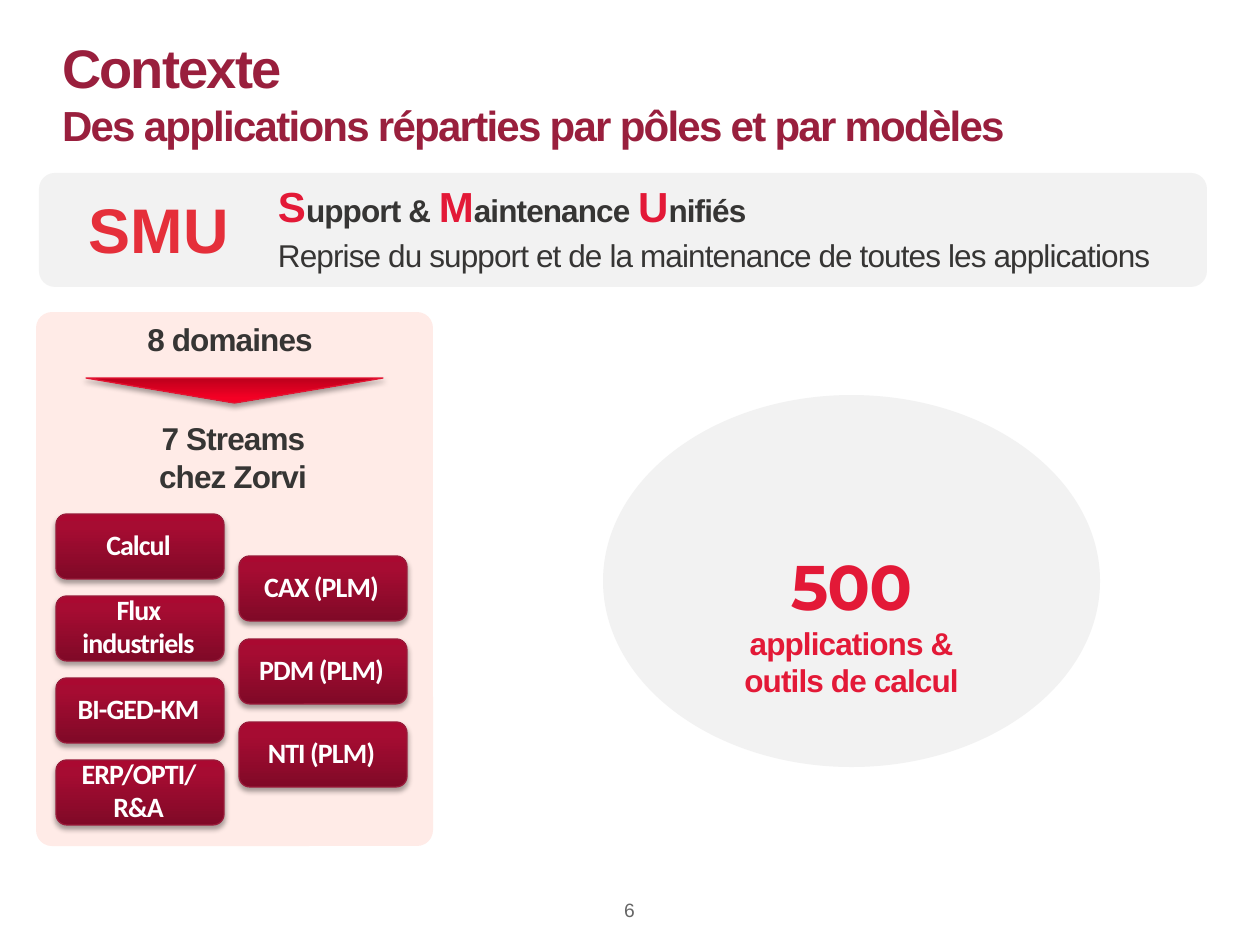
import copy

import pptx
import pptx.dml.color
import pptx.enum.shapes
import pptx.enum.text
import pptx.oxml
import pptx.oxml.ns
import pptx.util

SCALE = 914400 / 126
COLORS = {
    "title": "991F3D", "ink": "363534", "red": "E31937", "acronym": "E52F3A",
    "panel": "F2F2F2", "blush": "FFEBE7", "white": "FFFFFF", "number": "666666",
    "button_line": "991B3A", "arrow_line": "E31432",
}
BUTTON_STOPS = [(0, "800927"), (0.8, "A60C32"), (1, "AA0931")]
ARROW_STOPS = [(0, "BC001C"), (0.8, "F40024"), (1, "F50024")]
SHAPES = pptx.enum.shapes.MSO_SHAPE
CENTER = pptx.enum.text.PP_ALIGN.CENTER
LEFT = pptx.enum.text.PP_ALIGN.LEFT
MIDDLE = pptx.enum.text.MSO_ANCHOR.MIDDLE


def px(length):
    return pptx.util.Emu(round(length * SCALE))


def rgb(value):
    return pptx.dml.color.RGBColor.from_string(value)


def write(para, text, size=18, color="ink", bold=True, font="Arial", spacing=-50):
    span = para.add_run()
    span.text = text
    span.font.size = pptx.util.Pt(size)
    span.font.name = font
    span.font.bold = bold
    span.font.color.rgb = rgb(COLORS[color])
    span._r.get_or_add_rPr().set("spc", str(spacing))
    return span


def set_frame(frame, insets, anchor=None, wrap=True):
    frame.word_wrap = wrap
    frame.auto_size = pptx.enum.text.MSO_AUTO_SIZE.NONE
    frame.margin_left, frame.margin_top, frame.margin_right, frame.margin_bottom = map(px, insets)
    if anchor is not None:
        frame.vertical_anchor = anchor


def add_box(page, bounds, insets=(13, 6, 13, 6), wrap=True, align=CENTER):
    box = page.shapes.add_textbox(*map(px, bounds))
    set_frame(box.text_frame, insets, wrap=wrap)
    para = box.text_frame.paragraphs[0]
    para.alignment = align
    para.space_after = pptx.util.Pt(3)
    return box.text_frame


def add_panel(page, kind, bounds, color, corner=None):
    panel = page.shapes.add_shape(kind, *map(px, bounds))
    panel.shadow.inherit = False
    panel.fill.solid()
    panel.fill.fore_color.rgb = rgb(COLORS[color])
    panel.line.fill.background()
    if corner is not None:
        panel.adjustments[0] = corner
    return panel


def add_glossy(page, kind, bounds, stops, line):
    shape = page.shapes.add_shape(kind, *map(px, bounds))
    shape.fill.gradient()
    shape.fill.gradient_angle = 90
    stop_list = shape._element.spPr.find(".//" + pptx.oxml.ns.qn("a:gsLst"))
    stop_list.append(copy.deepcopy(stop_list[-1]))
    for stop, (position, color) in zip(shape.fill.gradient_stops, stops):
        stop.position = position
        stop.color.rgb = rgb(color)
    shape.line.color.rgb = rgb(COLORS[line])
    shape.line.width = pptx.util.Pt(0.75)
    shape.shadow.inherit = False
    effects = shape._element.spPr.find(pptx.oxml.ns.qn("a:effectLst"))
    effects.append(pptx.oxml.parse_xml(
        f'<a:outerShdw {pptx.oxml.ns.nsdecls("a")} blurRad="39370" dist="22860" '
        'dir="5400000" rotWithShape="0"><a:srgbClr val="000000">'
        '<a:alpha val="35000"/></a:srgbClr></a:outerShdw>'))
    return shape


def add_button(page, left, top, label):
    button = add_glossy(page, SHAPES.ROUNDED_RECTANGLE, (left, top, 168, 65),
                        BUTTON_STOPS, "button_line")
    set_frame(button.text_frame, (10, 5, 13, 10), MIDDLE)
    para = button.text_frame.paragraphs[0]
    para.alignment = CENTER
    write(para, label, size=16, color="white", font="Calibri")


def set_title(page):
    title = page.shapes.title
    title.left, title.top, title.width, title.height = map(px, (62, 25, 1135, 127))
    set_frame(title.text_frame, (0, 8, 0, 0), MIDDLE)
    para = title.text_frame.paragraphs[0]
    para.alignment = LEFT
    heading = write(para, "Contexte", size=31, color="title", spacing=-100)
    para.add_line_break()
    para._p[-1].append(copy.deepcopy(heading._r.rPr))
    write(para, "Des applications réparties par pôles et par modèles",
          size=24, color="title", spacing=-100)


def add_banner(page):
    add_panel(page, SHAPES.ROUNDED_RECTANGLE, (39, 173, 1168, 114), "panel", 0.14)
    acronym = add_box(page, (76, 185, 166, 90), wrap=False)
    write(acronym.paragraphs[0], "SMU", size=36, color="acronym", spacing=0)
    frame = add_box(page, (265, 174, 914, 107), align=LEFT)
    para = frame.paragraphs[0]
    for initial, rest in [("S", "upport & "), ("M", "aintenance "), ("U", "nifiés")]:
        write(para, initial, size=24, color="red")
        write(para, rest)
    detail = frame.add_paragraph()
    detail.space_after = pptx.util.Pt(3)
    write(detail, "Reprise du support et de la maintenance de toutes les applications",
          bold=False)


def add_streams(page):
    add_panel(page, SHAPES.ROUNDED_RECTANGLE, (36, 312, 397, 534), "blush", 0.04)
    write(add_box(page, (113, 314, 242, 50)).paragraphs[0], "8 domaines ")
    arrow = add_glossy(page, SHAPES.ISOSCELES_TRIANGLE, (86, 378, 297, 25),
                       ARROW_STOPS, "arrow_line")
    arrow.rotation = 180
    write(add_box(page, (115, 413, 236, 89)).paragraphs[0], "7 Streams chez Zorvi")
    columns = [
        (56, 514, 82, ["Calcul", "Flux industriels", "BI-GED-KM", "ERP/OPTI/R&A"]),
        (239, 556, 83, ["CAX (PLM)", "PDM (PLM)", "NTI (PLM)"]),
    ]
    for left, top, pitch, labels in columns:
        for row, label in enumerate(labels):
            add_button(page, left, top + row * pitch, label)


def add_total(page):
    ellipse = add_panel(page, SHAPES.OVAL, (603, 395, 497, 372), "panel")
    frame = ellipse.text_frame
    set_frame(frame, (9, 85, 9, 0), MIDDLE)
    lines = [("500", 36, "Montserrat"), ("applications &", 18, "Arial"),
             ("outils de calcul", 18, "Arial")]
    for row, (text, size, font) in enumerate(lines):
        para = frame.add_paragraph() if row else frame.paragraphs[0]
        para.alignment = CENTER
        write(para, text, size=size, color="red", font=font)


def main():
    deck = pptx.Presentation()
    deck.slide_width, deck.slide_height = px(1260), px(945)
    page = deck.slides.add_slide(deck.slide_layouts[5])
    set_title(page)
    add_banner(page)
    add_streams(page)
    add_total(page)
    number = add_box(page, (576, 898, 107, 33), insets=(0, 0, 0, 0), wrap=False)
    write(number.paragraphs[0], "6", size=11, color="number", bold=False, spacing=0)
    deck.save("out.pptx")


if __name__ == "__main__":
    main()
